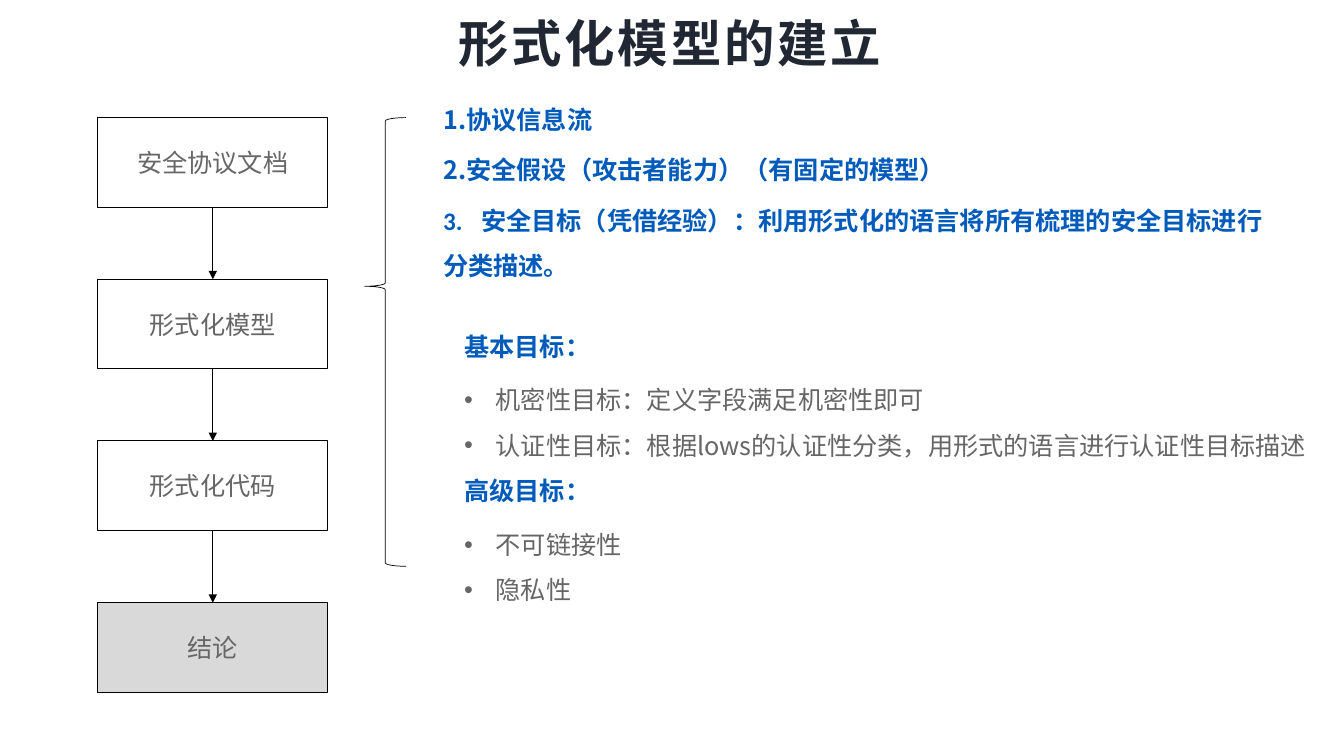
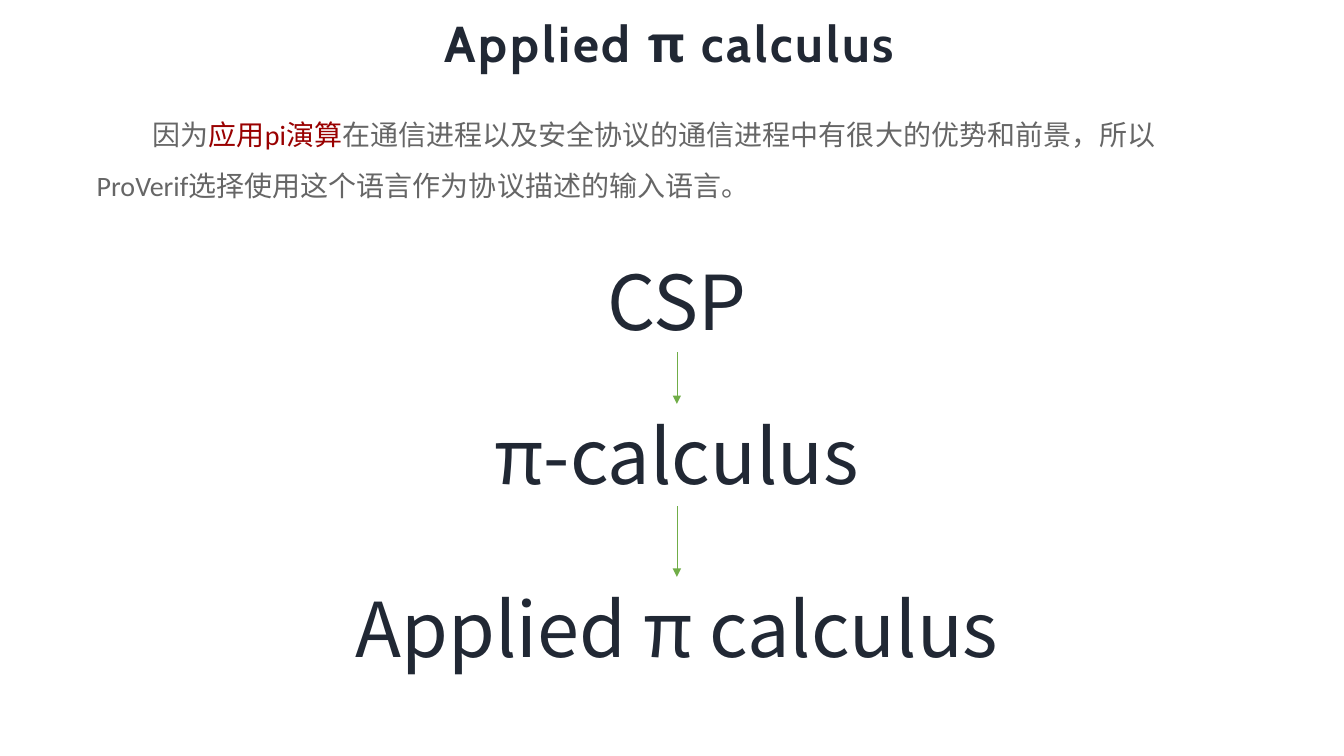
from itertools import pairwise

from pptx import Presentation
from pptx.dml.color import RGBColor
from pptx.enum.shapes import MSO_CONNECTOR, MSO_SHAPE
from pptx.enum.text import MSO_ANCHOR, MSO_AUTO_SIZE, PP_ALIGN
from pptx.oxml.ns import qn
from pptx.util import Pt

# Shared colours and fonts
INK, BLUE, GREY, RED = "212834", "005BBB", "666666", "990000"
BLACK, WHITE, SILVER, GREEN = "000000", "FFFFFF", "D9D9D9", "70AD47"
CJK, LATIN = "Noto Sans CJK SC", "Calibri"

# Shared text styles
TITLE = dict(size=Pt(36), name="Cabin", bold=True, color=INK)
HEADING = dict(size=Pt(18), name=LATIN, bold=True, color=BLUE)
BODY = dict(size=Pt(18), name=CJK, bold=False, color=GREY)
LEAD = dict(size=Pt(20), name=LATIN, color=GREY)
STEP = dict(size=Pt(54), name=CJK, color=INK)

# Shared paragraph styles
CENTRED = dict(alignment=PP_ALIGN.CENTER)
SPACED = dict(line_spacing=1.5, space_after=Pt(6))
LISTED = dict(line_spacing=1.5, space_after=Pt(0))


def rgb(value):
    return RGBColor.from_string(value)


def set_attrs(target, values):
    for name, value in values.items():
        setattr(target, name, value)


def add_child(parent, tag, **attrs):
    child = parent.makeelement(qn(tag), attrs)
    parent.append(child)
    return child


# Text
def add_run(p, text, style):
    r = p.add_run()
    r.text = text
    set_attrs(r.font, {k: v for k, v in style.items() if k != "color"})
    r.font.color.rgb = rgb(style["color"])
    add_child(r.font._element, "a:ea", typeface=CJK)
    return r


def set_indent(p, left, first):
    pPr = p._p.get_or_add_pPr()
    pPr.set("marL", str(Pt(left)))
    pPr.set("indent", str(Pt(first)))
    return pPr


def set_number(p, start):
    pPr = set_indent(p, 0, -27)
    add_child(pPr, "a:buFont", typeface=CJK)
    add_child(pPr, "a:buAutoNum", type="arabicPeriod", startAt=str(start))


def set_bullet(p):
    pPr = set_indent(p, 22.5, -22.5)
    add_child(pPr, "a:buFont", typeface="Arial")
    add_child(pPr, "a:buChar", char="•")


def set_tab(p, pos):
    tabs = add_child(p._p.get_or_add_pPr(), "a:tabLst")
    add_child(tabs, "a:tab", pos=str(Pt(pos)), algn="l")


def add_text_box(s, left, top, width, height, wrap=True):
    sp = s.shapes.add_textbox(Pt(left), Pt(top), Pt(width), Pt(height))
    sp.text_frame.word_wrap = wrap
    return sp


def add_title(s, text):
    sp = s.shapes.title
    set_attrs(sp, dict(left=Pt(19.5), top=Pt(7), width=Pt(918), height=Pt(47)))
    tf = sp.text_frame
    set_attrs(tf, dict(auto_size=MSO_AUTO_SIZE.NONE, word_wrap=True,
                       vertical_anchor=MSO_ANCHOR.MIDDLE))
    p = tf.paragraphs[0]
    set_attrs(p, CENTRED)
    r = add_run(p, text, TITLE)
    r.font._element.set("spc", "200")


# Shapes
def add_outlined(s, kind, left, top, width, height, line_width):
    sp = s.shapes.add_shape(kind, Pt(left), Pt(top), Pt(width), Pt(height))
    sp.shadow.inherit = False
    sp.line.color.rgb = rgb(BLACK)
    sp.line.width = Pt(line_width)
    return sp


def add_box(s, left, top, width, height, text, fill):
    sp = add_outlined(s, MSO_SHAPE.RECTANGLE, left, top, width, height, 0.75)
    sp.fill.solid()
    sp.fill.fore_color.rgb = rgb(fill)
    p = sp.text_frame.paragraphs[0]
    set_attrs(p, CENTRED)
    add_run(p, text, BODY)
    return sp


def add_arrows(s, boxes, color):
    """Join each box to the one below it."""
    for upper, lower in pairwise(boxes):
        line = s.shapes.add_connector(MSO_CONNECTOR.STRAIGHT, 0, 0, 0, 0)
        line.begin_connect(upper, 2)
        line.end_connect(lower, 0)
        line.line.color.rgb = rgb(color)
        line.line.width = Pt(0.5)
        add_child(line.line._get_or_add_ln(), "a:tailEnd", type="triangle")
        add_child(line._element.spPr, "a:effectLst")


# Slides
def new_slide(prs, title):
    s = prs.slides.add_slide(prs.slide_layouts[5])
    add_title(s, title)
    return s


def build_model_slide(prs):
    s = new_slide(prs, "形式化模型的建立")

    # Flow from document to conclusion
    stages = [("安全协议文档", WHITE), ("形式化模型", WHITE),
              ("形式化代码", WHITE), ("结论", SILVER)]
    boxes = [add_box(s, 70, 84 + 115.5 * i, 164, 64, text, fill)
             for i, (text, fill) in enumerate(stages)]
    add_arrows(s, boxes, BLACK)

    # Brace around the details
    brace = add_outlined(s, MSO_SHAPE.LEFT_BRACE, 260.5, 84, 29.5, 320.5, 0.5)
    brace.fill.background()
    brace.adjustments[0] = 0.083
    brace.adjustments[1] = 0.376

    # Numbered points
    left, top, pitch = 309.5, 60.5, 35.75
    points = ["协议信息流", "安全假设（攻击者能力）（有固定的模型）"]
    for i, text in enumerate(points):
        sp = add_text_box(s, left, top + pitch * i, 497, 36)
        p = sp.text_frame.paragraphs[0]
        set_attrs(p, SPACED)
        set_number(p, i + 1)
        add_run(p, text, HEADING)
    sp = add_text_box(s, left, top + pitch * 2, 611, 69)
    p = sp.text_frame.paragraphs[0]
    set_attrs(p, SPACED)
    set_tab(p, 27)
    add_run(p, "3.\t安全目标（凭借经验）：利用形式化的语言将所有梳理的安全目标进行分类描述。",
            HEADING)

    # Basic and advanced goals
    goals = {
        "基本目标：": ["机密性目标：定义字段满足机密性即可",
                  "认证性目标：根据lows的认证性分类，用形式的语言进行认证性目标描述"],
        "高级目标：": ["不可链接性", "隐私性"],
    }
    tf = add_text_box(s, 324.5, 222, 630, 245).text_frame
    p = tf.paragraphs[0]
    for heading, items in goals.items():
        if p.runs:
            p = tf.add_paragraph()
        set_attrs(p, SPACED)
        add_run(p, heading, HEADING)
        for item in items:
            p = tf.add_paragraph()
            set_attrs(p, LISTED)
            set_bullet(p)
            add_run(p, item, BODY)


def build_calculus_slide(prs):
    s = new_slide(prs, "Applied π calculus")

    # Lead paragraph
    p = add_text_box(s, 62, 68.5, 820, 76).text_frame.paragraphs[0]
    set_attrs(p, SPACED)
    set_indent(p, 0, 40)
    add_run(p, "因为", LEAD)
    add_run(p, "应用pi演算", LEAD | dict(color=RED))
    add_run(p, "在通信进程以及安全协议的通信进程中有很大的优势和前景，"
               "所以ProVerif选择使用这个语言作为协议描述的输入语言。", LEAD)

    # Line of descent
    centre = 483.5
    steps = [("CSP", 178.5, 116), ("π-calculus", 288.5, 282),
             ("Applied π calculus", 412, 493)]
    boxes = []
    for text, top, width in steps:
        sp = add_text_box(s, centre - width / 2, top, width, 73, wrap=False)
        p = sp.text_frame.paragraphs[0]
        set_attrs(p, CENTRED)
        add_run(p, text, STEP)
        boxes.append(sp)
    add_arrows(s, boxes, GREEN)


def main():
    prs = Presentation()
    prs.slide_width, prs.slide_height = Pt(960), Pt(540)
    build_model_slide(prs)
    build_calculus_slide(prs)
    prs.save("out.pptx")


if __name__ == "__main__":
    main()
